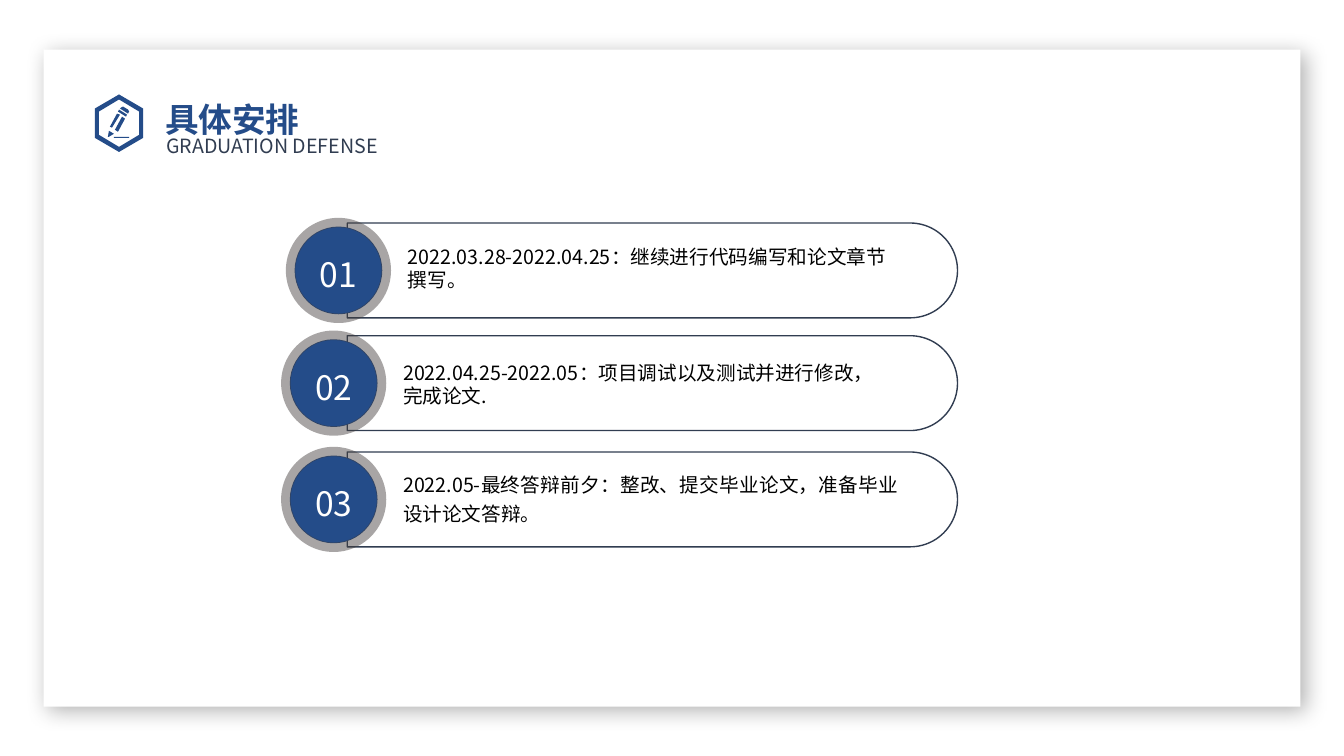
from dataclasses import dataclass

from lxml.etree import SubElement as Sub
from pptx import Presentation
from pptx.dml.color import RGBColor as Rgb
from pptx.enum.shapes import MSO_SHAPE as Kind
from pptx.enum.text import MSO_ANCHOR as Anchor, PP_ALIGN as Align
from pptx.oxml.ns import qn
from pptx.util import Cm, Pt


@dataclass(frozen=True)
class Theme:
    """Colours, font and type sizes of the slide."""
    blue: str = "244C89"
    navy: str = "313D51"
    ring: str = "433D3C"
    white: str = "FFFFFF"
    black: str = "000000"
    font: str = "Noto Sans CJK SC"
    large: int = 24
    small: int = 14


@dataclass(frozen=True)
class Box:
    """A rectangle in centimetres."""
    x: float
    y: float
    w: float
    h: float

    def cm(self):
        """Return the sides as lengths."""
        return Cm(self.x), Cm(self.y), Cm(self.w), Cm(self.h)


LOOK = Theme()
ICON = [
    [(24, 0), (48, 14), (48, 43), (24, 57), (0, 43), (0, 14)],
    [(24, 5), (4, 17), (4, 40), (24, 52), (44, 40), (44, 17)],
    [(19, 42), (34, 42), (34, 43), (19, 43)],
    [(20, 35), (27, 22), (30, 24), (23, 37)],
    [(15, 32), (22, 19), (25, 20), (17, 33)],
    [(13, 42), (14, 36), (19, 39), (14, 42)],
    [(24, 15), (23, 17), (31, 22), (32, 20)],
    [(26, 13), (28, 12), (33, 15), (34, 17), (33, 19), (25, 14)],
]
STEPS = [
    ("01", "2022.03.28-2022.04.25：继续进行代码编写和论文章节撰写。",
     Box(8.53, 5.62, 15.6, 2.39), dict(lift=0.77)),
    ("02", "2022.04.25-2022.05：项目调试以及测试并进行修改，完成论文.",
     Box(8.41, 8.46, 15.72, 2.39), dict(lift=0.69)),
    ("03", "2022.05-最终答辩前夕：整改、提交毕业论文，准备毕业设计论文答辩。",
     Box(8.41, 11.39, 15.72, 2.39),
     dict(lift=0.9, wide=12.98, align=Align.JUSTIFY, space=1.2)),
]


def write(shape, text, size=LOOK.small, color=LOOK.black, bold=False,
          align=Align.LEFT, anchor=Anchor.TOP, space=None, wrap=True, pads=None):
    """Fill a shape with one formatted paragraph."""
    frame = shape.text_frame
    frame.word_wrap = wrap
    frame.vertical_anchor = anchor
    if pads:
        (frame.margin_left, frame.margin_top,
         frame.margin_right, frame.margin_bottom) = map(Cm, pads)
    para = frame.paragraphs[0]
    para.alignment = align
    para.line_spacing = space
    run = para.add_run()
    run.text = text
    font = run.font
    font.name, font.size, font.bold = LOOK.font, Pt(size), bold
    font.color.rgb = Rgb.from_string(color)
    Sub(font._element, qn("a:ea"), typeface=LOOK.font)


def paint(shape, fill=None, line=None, alpha=None):
    """Set fill and line of a shape and drop its shadow."""
    shape.shadow.inherit = False
    if fill:
        shape.fill.solid()
        shape.fill.fore_color.rgb = Rgb.from_string(fill)
    else:
        shape.fill.background()
    if line:
        shape.line.color.rgb = Rgb.from_string(line)
        shape.line.width = Pt(1)
    else:
        shape.line.fill.background()
    if alpha:
        tint = shape.element.spPr.find(".//" + qn("a:srgbClr"))
        Sub(tint, qn("a:alpha"), val=str(alpha * 1000))
    return shape


def draw_card(shapes, box):
    """Draw the white panel with its soft shadow."""
    card = paint(shapes.add_shape(Kind.RECTANGLE, *box.cm()), LOOK.white)
    glow = Sub(card.element.spPr.find(qn("a:effectLst")), qn("a:outerShdw"),
               blurRad=str(Pt(15)), dist=str(Pt(5)), dir=str(45 * 60000),
               algn="tl", rotWithShape="0")
    shade = Sub(glow, qn("a:srgbClr"), val=LOOK.black)
    Sub(shade, qn("a:alpha"), val="30000")


def draw_icon(shapes, box):
    """Draw the hexagon badge with a pencil."""
    pen = shapes.build_freeform(*ICON[0][0], scale=Cm(box.w) / 48)
    for num, ring in enumerate(ICON):
        if num:
            pen.move_to(*ring[0])
        pen.add_line_segments(ring[1:], close=True)
    paint(pen.convert_to_shape(Cm(box.x), Cm(box.y)), LOOK.blue)


def draw_head(shapes, box):
    """Place badge, title and subtitle in the heading box."""
    draw_icon(shapes, Box(box.x, box.y + 0.3, 1.22, box.h))
    sub = shapes.add_textbox(*Box(box.x + 1.8, box.y + 1.07, 5.51, 0.86).cm())
    write(sub, "GRADUATION DEFENSE", color=LOOK.navy, space=Pt(23),
          pads=(0, 0, 0, 0.13))
    title = shapes.title
    title.left, title.top, title.width, title.height = Box(
        box.x + 1.52, box.y, box.w - 1.52, 1.27).cm()
    write(title, "具体安排", size=LOOK.large, color=LOOK.blue, bold=True,
          space=1.2, pads=(0.25, 0.2, 0.25, 0.13))
    shapes.element.append(title.element)


def draw_disc(shapes, kind, x, y, size, **style):
    """Draw a round shape about a centre."""
    box = Box(x - size / 2, y - size / 2, size, size)
    return paint(shapes.add_shape(kind, *box.cm()), **style)


def draw_step(shapes, box, mark, text, lift, wide=12.65, **style):
    """Draw a numbered step; the badge is centred on the left edge."""
    mid, left, span = box.y + box.h / 2, 8.75, box.x + box.w - 8.75
    pill = shapes.add_shape(Kind.ROUND_2_SAME_RECTANGLE, *Box(
        left + (span - box.h) / 2, mid - span / 2, box.h, span).cm())
    pill.rotation = 90
    pill.adjustments[0], pill.adjustments[1] = 0.5, 0
    paint(pill, line=LOOK.navy)
    note = shapes.add_textbox(*Box(box.x + 1.5, mid - lift, wide, 1.45).cm())
    write(note, text, **style)
    disc = draw_disc(shapes, Kind.OVAL, box.x, mid, 2.21, fill=LOOK.blue)
    write(disc, mark, size=LOOK.large, color=LOOK.white, align=Align.CENTER,
          anchor=Anchor.MIDDLE, space=1.2, wrap=False)
    halo = draw_disc(shapes, Kind.DONUT, box.x, mid, 2.65,
                     fill=LOOK.ring, alpha=46)
    halo.adjustments[0] = 0.09


def main():
    """Build the schedule slide and save it."""
    deck = Presentation()
    deck.slide_width, deck.slide_height = Cm(33.87), Cm(19.05)
    shapes = deck.slides.add_slide(deck.slide_layouts[5]).shapes
    draw_card(shapes, Box(1.1, 1.25, 31.67, 16.56))
    draw_head(shapes, Box(2.39, 2.08, 11.6, 1.45))
    for mark, text, box, style in STEPS:
        draw_step(shapes, box, mark, text, **style)
    deck.save("out.pptx")


if __name__ == "__main__":
    main()
